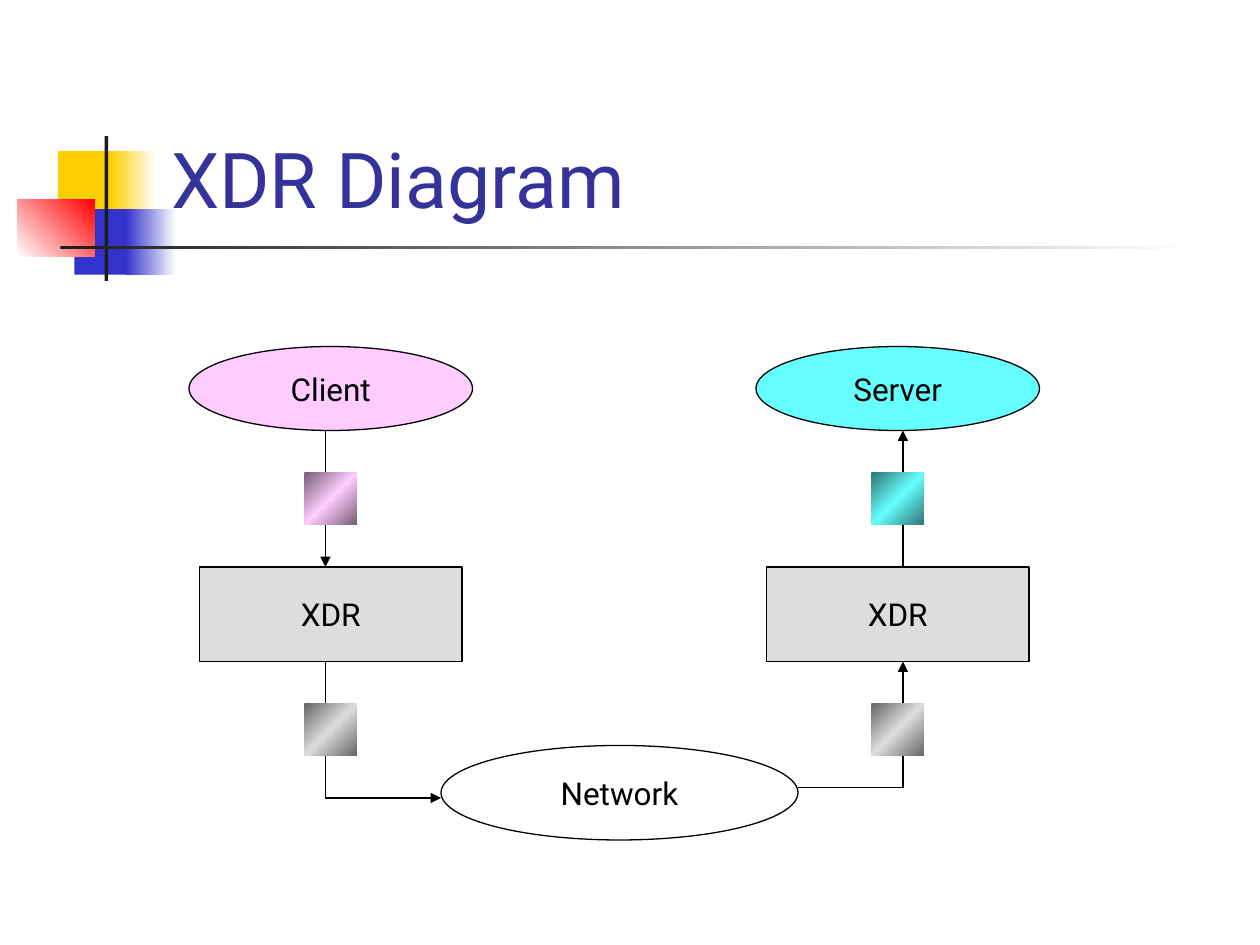
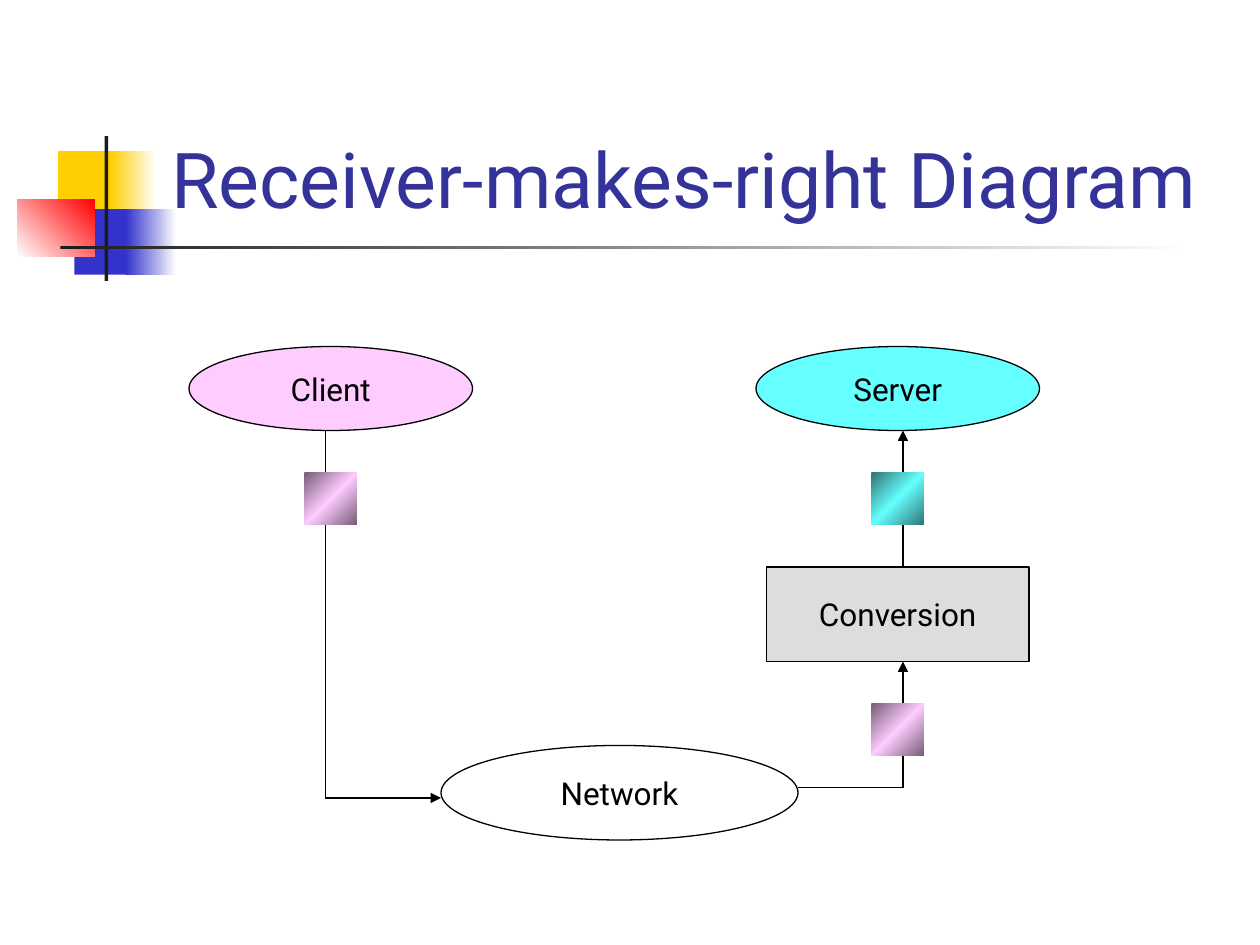
from dataclasses import dataclass

from lxml.etree import SubElement
from pptx import Presentation
from pptx.dml.color import RGBColor
from pptx.enum.shapes import MSO_CONNECTOR as Connector, MSO_SHAPE as Shape
from pptx.enum.text import MSO_ANCHOR as Anchor, PP_ALIGN as Align
from pptx.oxml.ns import qn
from pptx.util import Inches, Pt

YELLOW = RGBColor(0xFF, 0xCF, 0x01)
BLUE = RGBColor(0x33, 0x33, 0xCC)
RED = RGBColor(0xFF, 0x00, 0x00)
CHARCOAL = RGBColor(0x1C, 0x1C, 0x1C)
TITLE_BLUE = RGBColor(0x33, 0x33, 0x99)
BLACK = RGBColor(0x00, 0x00, 0x00)
WHITE = RGBColor(0xFF, 0xFF, 0xFF)
PINK = RGBColor(0xFF, 0xCC, 0xFF)
DARK_PINK = RGBColor(0x76, 0x5E, 0x76)
CYAN = RGBColor(0x66, 0xFF, 0xFF)
DARK_CYAN = RGBColor(0x2F, 0x76, 0x76)
GRAY = RGBColor(0xDD, 0xDD, 0xDD)
DARK_GRAY = RGBColor(0x66, 0x66, 0x66)

PINK_PACKET = (DARK_PINK, PINK, DARK_PINK)
CYAN_PACKET = (DARK_CYAN, CYAN, DARK_CYAN)
GRAY_PACKET = (DARK_GRAY, GRAY, DARK_GRAY)

FONT = "Roboto"
LINE_WIDTH = Pt(0.75)
TITLE_FORMAT = {"name": FONT, "size": Pt(44)}
LABEL_FORMAT = {"name": FONT, "size": Pt(18)}


@dataclass
class Grid:
    """A region of a slide, measured in square cells from its top left corner."""
    slide: object
    left: float
    top: float
    cell: float = 1

    def x(self, column):
        return Inches(self.left + column * self.cell)

    def y(self, row):
        return Inches(self.top + row * self.cell)

    def box(self, column, row, columns, rows):
        return (self.x(column), self.y(row),
                Inches(columns * self.cell), Inches(rows * self.cell))


def write(shape, text, font_format, color, align, anchor, wrap):
    frame = shape.text_frame
    frame.word_wrap = wrap
    frame.vertical_anchor = anchor
    paragraph = frame.paragraphs[0]
    paragraph.text = text
    paragraph.alignment = align
    for name, value in font_format.items():
        setattr(paragraph.font, name, value)
    paragraph.font.color.rgb = color


def fill_gradient(shape, colors, angle):
    """Spread the colours evenly; the angle runs counter-clockwise."""
    shape.fill.gradient()
    shape.fill.gradient_angle = angle
    stops = shape._element.spPr.find(qn("a:gradFill")).find(qn("a:gsLst"))
    for stop in list(stops):
        stops.remove(stop)
    for index, color in enumerate(colors):
        position = 100000 * index // (len(colors) - 1)
        stop = SubElement(stops, qn("a:gs"), pos=str(position))
        SubElement(stop, qn("a:srgbClr"), val=str(color))


def add_block(grid, cells, colors, angle=0, kind=Shape.RECTANGLE):
    """Add an unlined shape, solid for one colour and shaded for more."""
    shape = grid.slide.shapes.add_shape(kind, *grid.box(*cells))
    shape.shadow.inherit = False
    shape.line.fill.background()
    if len(colors) == 1:
        shape.fill.solid()
        shape.fill.fore_color.rgb = colors[0]
    else:
        fill_gradient(shape, colors, angle)
    return shape


def add_node(grid, kind, cells, color, label):
    shape = add_block(grid, cells, [color], kind=kind)
    shape.line.color.rgb = BLACK
    shape.line.width = LINE_WIDTH
    write(shape, label, LABEL_FORMAT, BLACK, Align.CENTER, Anchor.MIDDLE, False)


def add_wire(grid, start, end, arrow=False):
    wire = grid.slide.shapes.add_connector(
        Connector.STRAIGHT, grid.x(start[0]), grid.y(start[1]),
        grid.x(end[0]), grid.y(end[1]))
    wire.line.color.rgb = BLACK
    wire.line.width = LINE_WIDTH
    if arrow:
        SubElement(wire.line._get_or_add_ln(), qn("a:tailEnd"), type="triangle")
    SubElement(wire._element.spPr, qn("a:effectLst"))


def add_ornament(grid):
    for cells, colors, angle in (
            ((0.32, 0.12, 0.48, 0.52), [YELLOW], 0),
            ((0.74, 0.12, 0.36, 0.52), [YELLOW, WHITE], 0),
            ((0.45, 0.58, 0.46, 0.52), [BLUE], 0),
            ((0.86, 0.58, 0.4, 0.52), [BLUE, WHITE], 0),
            ((0, 0.5, 0.61, 0.46), [WHITE, RED], 45),
            ((0.69, 0, 0.03, 1.15), [CHARCOAL], 0),
            ((0.34, 0.87, 9, 0.03), [CHARCOAL, WHITE], 0)):
        add_block(grid, cells, colors, angle)


def add_title(grid, text):
    title = grid.slide.shapes.add_textbox(*grid.box(0, 0, 8.52, 1.6))
    write(title, text, TITLE_FORMAT, TITLE_BLUE, Align.LEFT, Anchor.BOTTOM, True)


def add_packet(grid, column, row, colors):
    add_block(grid, (column, row, 5, 5), colors, angle=315)


def add_diagram(grid, converter, client_converts, network_packet):
    """Draw client, network and server; the client side may convert too."""
    server_column = 54
    client_wire, server_wire = 13, 68
    client_packet, server_packet = 11, server_column + 11
    node_bottom, box_top, box_bottom = 8, 21, 30
    upper_packet, lower_packet = 12, 34
    network_left, network_right = 24, 58
    client_turn, server_turn = 43, 42

    add_node(grid, Shape.OVAL, (0, 0, 27, 8), PINK, "Client")
    add_node(grid, Shape.OVAL, (server_column, 0, 27, 8), CYAN, "Server")
    converter_columns = [0, server_column] if client_converts else [server_column]
    for column in converter_columns:
        add_node(grid, Shape.RECTANGLE, (column + 1, box_top, 25, 9), GRAY, converter)
    add_node(grid, Shape.OVAL, (network_left, 38, 34, 9), WHITE, "Network")

    if client_converts:
        add_wire(grid, (client_wire, node_bottom), (client_wire, box_top), arrow=True)
        add_wire(grid, (client_wire, box_bottom), (client_wire, client_turn))
        add_packet(grid, client_packet, lower_packet, network_packet)
    else:
        add_wire(grid, (client_wire, node_bottom), (client_wire, client_turn))
    add_packet(grid, client_packet, upper_packet, PINK_PACKET)
    add_wire(grid, (client_wire, client_turn), (network_left, client_turn), arrow=True)

    add_wire(grid, (network_right, server_turn), (server_wire, server_turn))
    add_wire(grid, (server_wire, server_turn), (server_wire, box_bottom), arrow=True)
    add_packet(grid, server_packet, lower_packet, network_packet)
    add_wire(grid, (server_wire, box_top), (server_wire, node_bottom), arrow=True)
    add_packet(grid, server_packet, upper_packet, CYAN_PACKET)


def add_diagram_slide(presentation, title, **diagram):
    slide = presentation.slides.add_slide(presentation.slide_layouts[6])
    add_ornament(Grid(slide, 0.14, 1.08))
    add_title(Grid(slide, 1.26, 0.23), title)
    add_diagram(Grid(slide, 1.5, 2.75, cell=1 / 12), **diagram)


def main():
    presentation = Presentation()
    presentation.slide_width = Inches(10)
    presentation.slide_height = Inches(7.5)
    add_diagram_slide(presentation, "XDR Diagram", converter="XDR",
                      client_converts=True, network_packet=GRAY_PACKET)
    add_diagram_slide(presentation, "Receiver-makes-right Diagram", converter="Conversion",
                      client_converts=False, network_packet=PINK_PACKET)
    presentation.save("out.pptx")


if __name__ == "__main__":
    main()
